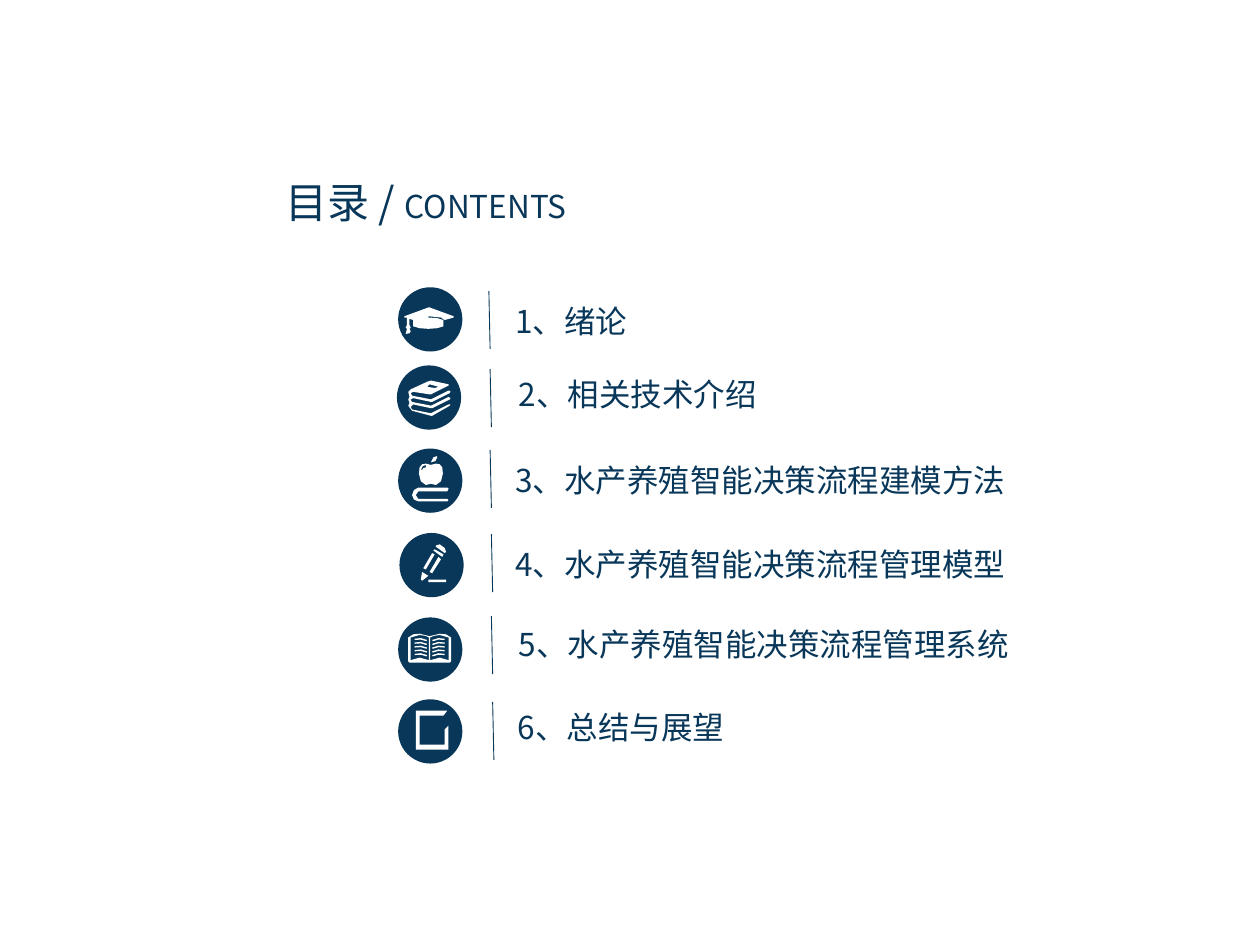
from lxml import etree
from pptx import Presentation
from pptx import util as u
from pptx.dml import color
from pptx.enum import shapes, text
from pptx.oxml import ns

COLORS = {"navy": "093759", "white": "FFFFFF"}
FONT = "Noto Sans CJK SC"
CIRCLE = 0.51
DIVIDER_HEIGHT = 0.46


def mirrored(outline, axis=25):
    return [(2 * axis - x, y) for x, y in outline]


# Icon outlines are in hundredths of an inch from the circle's top left corner.
CAP = [[
    (5, 23), (24, 16), (25, 16), (44, 23), (44, 24), (37, 26), (34, 24),
    (24, 23), (24, 24), (31, 24.5), (36, 26), (36, 31), (31, 32.5), (24, 33),
    (17, 32.5), (12, 31), (12, 26), (9, 25), (9, 30), (10, 32), (9, 33),
    (10, 35), (9, 36.5), (6, 37), (7, 33), (6, 32), (7, 30), (7, 24), (5, 24),
]]
BOOKS = [
    [(27, 34), (28, 34), (42, 27), (42.5, 26), (41, 25), (27, 32), (12, 29),
     (11, 27.5), (11, 27), (13, 26), (27, 29), (28, 29), (42, 22), (42.5, 20.5),
     (41, 20), (27, 27), (12, 24), (11, 22), (13, 21), (26, 23), (27, 23),
     (41, 16), (41, 15), (27, 12), (24, 13), (11, 19), (9, 21), (10, 25),
     (9, 27), (10, 30), (9, 32), (12, 36), (27, 40), (28, 40), (42, 32),
     (42.5, 31), (41, 31), (27, 38), (12, 35), (11, 33), (13, 31)],
    [(26, 15), (33, 17), (30, 18), (24, 17)],
]
APPLE = [
    [(40, 41), (39, 42), (16, 42), (12.5, 40.5), (11, 37), (12.5, 33), (16, 31),
     (39, 31), (40, 32), (39, 34), (16, 34), (14, 37), (16, 40), (39, 40)],
    [(26, 11), (29.5, 10), (31, 7), (31, 6), (28, 7)],
    [(35, 15), (33, 12.5), (30, 12), (26, 13), (22, 12), (19, 12.5), (17, 15),
     (16.5, 20), (18, 26), (22, 29), (26, 28), (30, 29), (34, 26), (35.5, 20)],
    [(22, 15), (20, 15.5), (19, 17), (18, 17), (19.5, 14), (22, 13)],
]
PENCIL = [
    [(29, 10), (32, 9), (36, 12), (37, 15), (36, 16), (29, 11)],
    [(28, 13), (27, 14), (34, 19), (35, 17)],
    [(17, 37), (18, 31), (23, 34), (18, 38)],
    [(19, 28), (26, 16), (28, 17), (21, 29)],
    [(24, 31), (31, 19), (33, 21), (26, 32)],
    [(23, 37), (37, 37), (37, 39), (23, 39)],
]
COVER = [(42, 16), (38, 13.5), (33, 13), (25, 15), (17, 13), (12, 13.5), (8, 16),
         (8, 35), (9, 36), (41, 36), (42, 35)]
PAGE = [(24.5, 16), (24.5, 34), (17, 32), (10, 34), (10, 16), (17, 14), (22, 14.8)]
PRINT = [(13, 17), (18, 16.5), (23, 18), (22.5, 19), (18, 17.7), (13, 18)]
LEFT_PAGE = [PAGE] + [[(x, y + 3 * row) for x, y in PRINT] for row in range(5)]
OPEN_BOOK = [COVER] + LEFT_PAGE + [mirrored(outline) for outline in LEFT_PAGE]
FRAME = [[(37, 36), (17, 36), (17, 13), (36, 13), (39, 9), (14, 9), (14, 40),
          (40, 40), (40, 21), (37, 24)]]

# Label, label box (left, top, width), circle corner, divider top, icon
ENTRIES = [
    ("1、绪论", (3.99, 2.35, 3.98), (3.16, 2.28), (3.88, 2.31), CAP),
    ("2、相关技术介绍", (4.02, 2.93, 4.72), (3.15, 2.9), (3.89, 2.93), BOOKS),
    ("3、水产养殖智能决策流程建模方法", (3.99, 3.61, 4.75), (3.16, 3.56), (3.89, 3.57), APPLE),
    ("4、水产养殖智能决策流程管理模型", (3.99, 4.28, 4.98), (3.17, 4.23), (3.9, 4.24), PENCIL),
    ("5、水产养殖智能决策流程管理系统", (4.02, 4.91, 4.27), (3.16, 4.9), (3.9, 4.89), OPEN_BOOK),
    ("6、总结与展望", (4.01, 5.57, 3.45), (3.16, 5.55), (3.91, 5.57), FRAME),
]


class ContentsSlide:
    """Holds the style and the slide being drawn."""

    def __init__(self, slide):
        self.slide = slide
        self.navy = color.RGBColor.from_string(COLORS["navy"])
        self.white = color.RGBColor.from_string(COLORS["white"])

    def add_runs(self, frame, runs, align):
        frame.word_wrap = True
        frame.auto_size = text.MSO_AUTO_SIZE.SHAPE_TO_FIT_TEXT
        frame.vertical_anchor = text.MSO_ANCHOR.TOP
        paragraph = frame.paragraphs[0]
        paragraph.alignment = align
        for words, size in runs:
            run = paragraph.add_run()
            run.text = words
            run.font.size = u.Pt(size)
            run.font.name = FONT
            run.font.color.rgb = self.navy
            east_asian = etree.SubElement(run.font._element, ns.qn("a:ea"))
            east_asian.set("typeface", FONT)

    def title(self, runs, left, top, width, height):
        title = self.slide.shapes.title
        title.left, title.top = u.Inches(left), u.Inches(top)
        title.width, title.height = u.Inches(width), u.Inches(height)
        self.add_runs(title.text_frame, runs, text.PP_ALIGN.CENTER)

    def label(self, words, left, top, width):
        box = self.slide.shapes.add_textbox(
            u.Inches(left), u.Inches(top), u.Inches(width), u.Inches(0.4))
        self.add_runs(box.text_frame, [(words, 18)], text.PP_ALIGN.LEFT)

    def fill(self, shape, rgb):
        shape.shadow.inherit = False
        shape.fill.solid()
        shape.fill.fore_color.rgb = rgb
        shape.line.fill.background()

    def circle(self, left, top):
        shape = self.slide.shapes.add_shape(
            shapes.MSO_SHAPE.OVAL, u.Inches(left), u.Inches(top),
            u.Inches(CIRCLE), u.Inches(CIRCLE))
        self.fill(shape, self.navy)

    def icon(self, outlines, left, top):
        """Draws all outlines as one shape; inner outlines become holes."""
        placed = [[(u.Inches(left + x / 100), u.Inches(top + y / 100)) for x, y in outline]
                  for outline in outlines]
        builder = self.slide.shapes.build_freeform(*placed[0][0])
        builder.add_line_segments(placed[0][1:], close=True)
        for outline in placed[1:]:
            builder.move_to(*outline[0])
            builder.add_line_segments(outline[1:], close=True)
        self.fill(builder.convert_to_shape(), self.white)

    def divider(self, left, top):
        line = self.slide.shapes.add_connector(
            shapes.MSO_CONNECTOR.STRAIGHT, u.Inches(left + 0.01),
            u.Inches(top + DIVIDER_HEIGHT), u.Inches(left), u.Inches(top))
        line.line.color.rgb = self.navy
        line.line.width = u.Pt(0.5)
        etree.SubElement(line._element.spPr, ns.qn("a:effectLst"))


def main():
    presentation = Presentation()
    presentation.slide_width, presentation.slide_height = u.Inches(10), u.Inches(7.5)
    title_only = presentation.slide_layouts[5]
    contents = ContentsSlide(presentation.slides.add_slide(title_only))
    contents.title([("目录 / ", 24), ("CONTENTS", 18)], 1.88, 1.35, 3, 0.51)
    for words, label_box, circle_corner, divider_top, outlines in ENTRIES:
        contents.divider(*divider_top)
        contents.label(words, *label_box)
        contents.circle(*circle_corner)
        contents.icon(outlines, *circle_corner)
    presentation.save("out.pptx")


if __name__ == "__main__":
    main()
